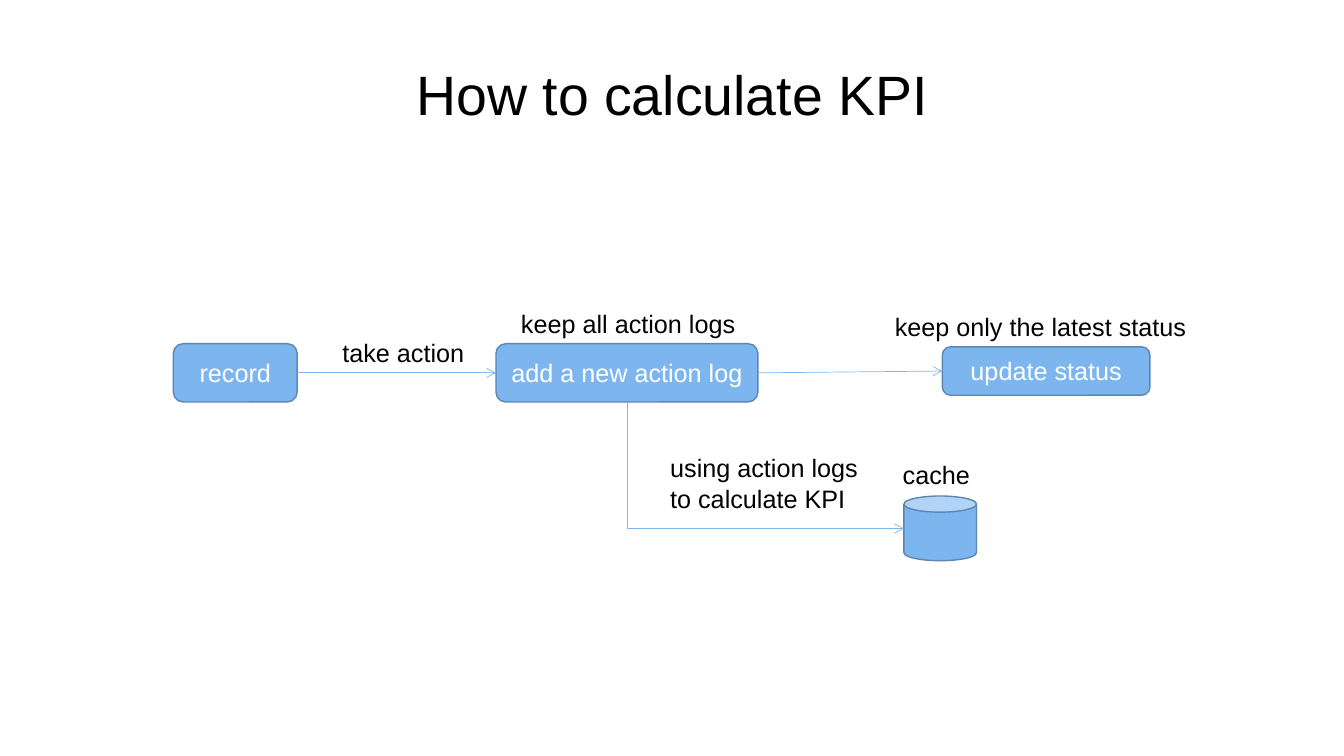
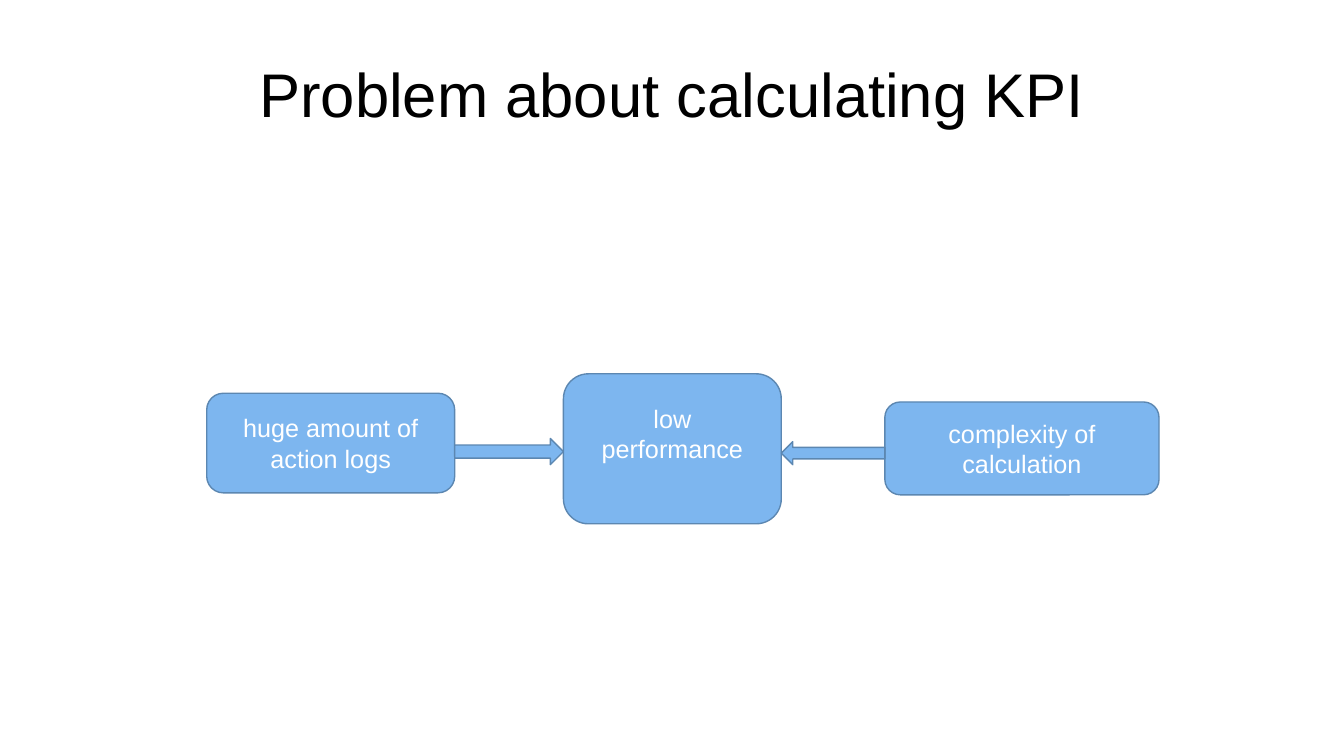
from dataclasses import dataclass

from lxml import etree
from pptx import Presentation
from pptx.dml.color import RGBColor
from pptx.enum.shapes import MSO_CONNECTOR, MSO_SHAPE
from pptx.enum.text import MSO_ANCHOR, PP_ALIGN
from pptx.oxml.ns import qn
from pptx.shapes.autoshape import Shape
from pptx.shapes.connector import Connector
from pptx.slide import Slide
from pptx.text.text import TextFrame
from pptx.util import Cm, Pt

ROUNDED = MSO_SHAPE.ROUNDED_RECTANGLE
CAN = MSO_SHAPE.CAN
RIGHT_ARROW = MSO_SHAPE.RIGHT_ARROW
LEFT_ARROW = MSO_SHAPE.LEFT_ARROW
STRAIGHT = MSO_CONNECTOR.STRAIGHT
ELBOW = MSO_CONNECTOR.ELBOW
CENTER = PP_ALIGN.CENTER
LEFT = PP_ALIGN.LEFT
MIDDLE = MSO_ANCHOR.MIDDLE
TOP = MSO_ANCHOR.TOP

SIDE_TOP, SIDE_LEFT, SIDE_BOTTOM, SIDE_RIGHT = range(4)
CAN_LEFT_SITE = 2
TITLE_ONLY_LAYOUT = 5


@dataclass(frozen=True)
class Theme:
    font: str = "Arial"
    ink: RGBColor = RGBColor(0x00, 0x00, 0x00)
    paper: RGBColor = RGBColor(0xFF, 0xFF, 0xFF)
    accent: RGBColor = RGBColor(0x7D, 0xB6, 0xEF)
    outline: RGBColor = RGBColor(0x5C, 0x87, 0xB1)
    title_size: float = 44
    text_size: float = 18
    outline_width: float = 1
    connector_width: float = 0.5


THEME = Theme()


@dataclass(frozen=True)
class Area:
    """A rectangle in centimetres."""
    left: float
    top: float
    width: float
    height: float

    @property
    def right(self) -> float:
        return self.left + self.width

    def lengths(self) -> tuple[Cm, Cm, Cm, Cm]:
        return Cm(self.left), Cm(self.top), Cm(self.width), Cm(self.height)


@dataclass(frozen=True)
class Node:
    area: Area
    text: str = ""
    kind: MSO_SHAPE = ROUNDED
    bottom_inset: float = 0.13


@dataclass(frozen=True)
class Label:
    left: float
    top: float
    width: float
    lines: tuple[str, ...]

    @property
    def area(self) -> Area:
        return Area(self.left, self.top, self.width, 0.25 + 0.77 * len(self.lines))


TITLE_AREA = Area(1.7, 0.76, 30.48, 3.18)

RECORD = Node(Area(4.37, 8.66, 3.12, 1.47), "record")
ADD_LOG = Node(Area(12.5, 8.66, 6.6, 1.47), "add a new action log")
UPDATE = Node(Area(23.75, 8.74, 5.23, 1.22), "update status")
CACHE = Node(Area(22.78, 12.5, 1.83, 1.63), kind=CAN)

FLOW_LABELS = (
    Label(8.38, 8.38, 4.17, ("take action",)),
    Label(22.3, 7.72, 8.51, ("keep only the latest status",)),
    Label(12.88, 7.65, 6.35, ("keep all action logs",)),
    Label(16.64, 11.28, 5.36, ("using action logs", "to calculate KPI")),
    Label(22.5, 11.46, 2.39, ("cache",)),
)

LOW_PERFORMANCE = Node(Area(14.2, 9.42, 5.49, 3.78), "low performance",
                       bottom_inset=0.9)
HUGE_LOGS = Node(Area(5.21, 9.91, 6.25, 2.51), "huge amount of action logs")
COMPLEXITY = Node(Area(22.3, 10.13, 6.91, 2.34), "complexity of calculation")


def arrow_between(left: Node, right: Node, kind: MSO_SHAPE,
                  top: float, height: float) -> Node:
    """Describe a block arrow that fills the gap between two nodes."""
    gap = right.area.left - left.area.right
    return Node(Area(left.area.right, top, gap, height), kind=kind)


PROBLEM_NODES = (
    LOW_PERFORMANCE,
    HUGE_LOGS,
    COMPLEXITY,
    arrow_between(HUGE_LOGS, LOW_PERFORMANCE, RIGHT_ARROW, 11.05, 0.66),
    arrow_between(LOW_PERFORMANCE, COMPLEXITY, LEFT_ARROW, 11.13, 0.58),
)


def write_text(frame: TextFrame, lines: tuple[str, ...], size: float,
               color: RGBColor, align: PP_ALIGN, anchor: MSO_ANCHOR) -> None:
    frame.word_wrap = True
    frame.vertical_anchor = anchor
    font_format = {"name": THEME.font, "size": Pt(size)}
    for index, line in enumerate(lines):
        para = frame.add_paragraph() if index else frame.paragraphs[0]
        para.alignment = align
        span = para.add_run()
        span.text = line
        span.font.color.rgb = color
        for name, value in font_format.items():
            setattr(span.font, name, value)


def add_page(deck: Presentation, title: str,
             title_size: float = THEME.title_size) -> Slide:
    page = deck.slides.add_slide(deck.slide_layouts[TITLE_ONLY_LAYOUT])
    heading = page.shapes.title
    heading.left, heading.top, heading.width, heading.height = TITLE_AREA.lengths()
    write_text(heading.text_frame, (title,), title_size, THEME.ink, CENTER, MIDDLE)
    return page


def add_node(page: Slide, node: Node) -> Shape:
    box = page.shapes.add_shape(node.kind, *node.area.lengths())
    box.shadow.inherit = False
    box.fill.solid()
    box.fill.fore_color.rgb = THEME.accent
    box.line.color.rgb = THEME.outline
    box.line.width = Pt(THEME.outline_width)
    if node.text:
        write_text(box.text_frame, (node.text,), THEME.text_size, THEME.paper,
                   CENTER, MIDDLE)
        box.text_frame.margin_bottom = Cm(node.bottom_inset)
    return box


def add_label(page: Slide, label: Label) -> None:
    box = page.shapes.add_textbox(*label.area.lengths())
    write_text(box.text_frame, label.lines, THEME.text_size, THEME.ink, LEFT, TOP)


def add_arrow(page: Slide, kind: MSO_CONNECTOR, start: Shape, start_site: int,
              end: Shape, end_site: int) -> Connector:
    """Join two shapes with a thin line that has an open arrowhead."""
    arrow = page.shapes.add_connector(kind, 0, 0, 0, 0)
    arrow.begin_connect(start, start_site)
    arrow.end_connect(end, end_site)
    arrow.line.color.rgb = THEME.accent
    arrow.line.width = Pt(THEME.connector_width)
    properties = arrow.element.spPr
    etree.SubElement(properties.find(qn("a:ln")), qn("a:tailEnd"), type="arrow")
    etree.SubElement(properties, qn("a:effectLst"))
    return arrow


def add_down_right_arrow(page: Slide, start: Shape, end: Shape) -> None:
    """Draw an elbow from a box's bottom down and right to a can's left side."""
    arrow = add_arrow(page, ELBOW, start, SIDE_BOTTOM, end, CAN_LEFT_SITE)
    start_x, start_y = start.left + start.width // 2, start.top + start.height
    end_x, end_y = end.left, end.top + end.height // 2
    across, down = end_x - start_x, end_y - start_y
    # The frame is described before its quarter turn, so its sides are swapped.
    frame = {
        "left": (start_x + end_x - down) // 2,
        "top": (start_y + end_y - across) // 2,
        "width": down,
        "height": across,
    }
    for name, value in frame.items():
        setattr(arrow, name, value)
    properties = arrow.element.spPr
    transform = properties.find(qn("a:xfrm"))
    transform.attrib.pop("flipH", None)
    transform.set("rot", "5400000")
    transform.set("flipV", "1")
    properties.find(qn("a:prstGeom")).set("prst", "bentConnector2")


def build_flow(deck: Presentation) -> None:
    page = add_page(deck, "How to calculate KPI", 39.6)
    record, add_log, update, cache = (
        add_node(page, node) for node in (RECORD, ADD_LOG, UPDATE, CACHE))
    for start, end in ((record, add_log), (add_log, update)):
        add_arrow(page, STRAIGHT, start, SIDE_RIGHT, end, SIDE_LEFT)
    add_down_right_arrow(page, add_log, cache)
    for label in FLOW_LABELS:
        add_label(page, label)


def build_problem(deck: Presentation) -> None:
    page = add_page(deck, "Problem about calculating KPI")
    for node in PROBLEM_NODES:
        add_node(page, node)


def main() -> None:
    deck = Presentation()
    deck.slide_width, deck.slide_height = Cm(33.87), Cm(19.05)
    build_flow(deck)
    build_problem(deck)
    deck.save("out.pptx")


if __name__ == "__main__":
    main()
